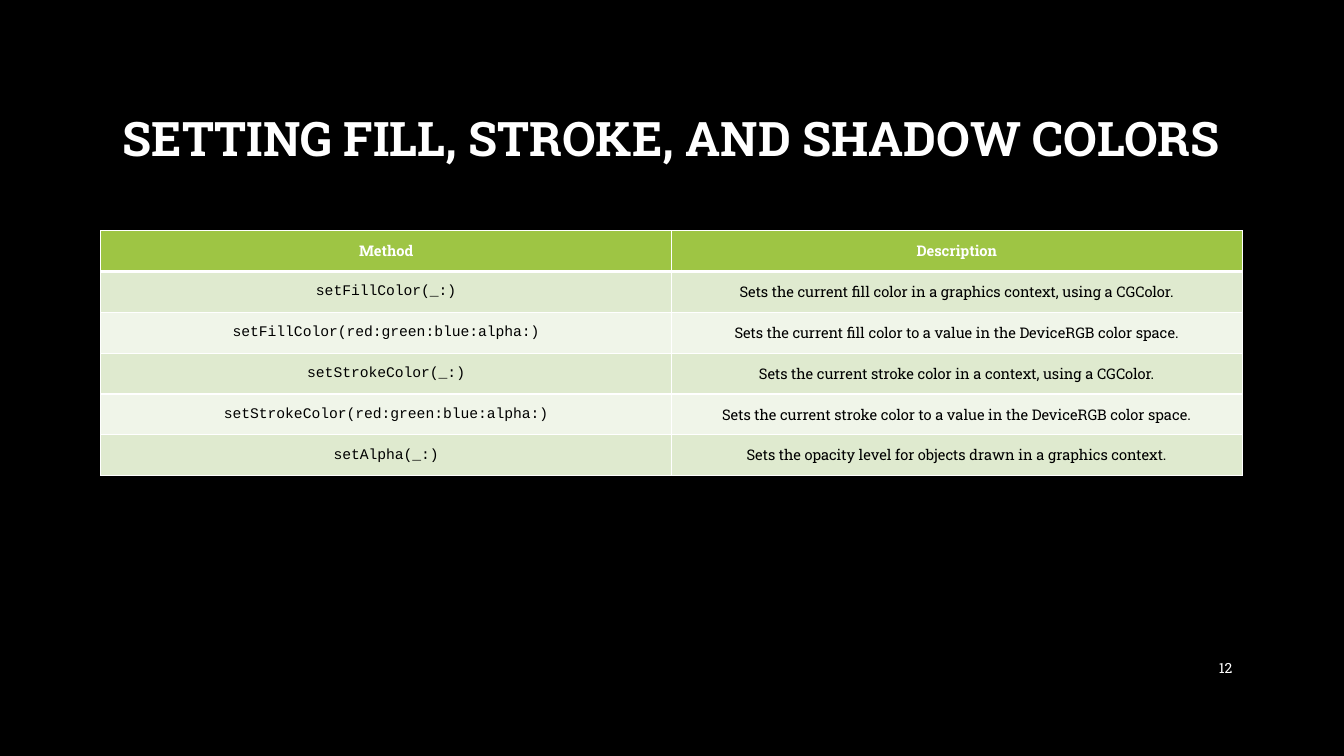
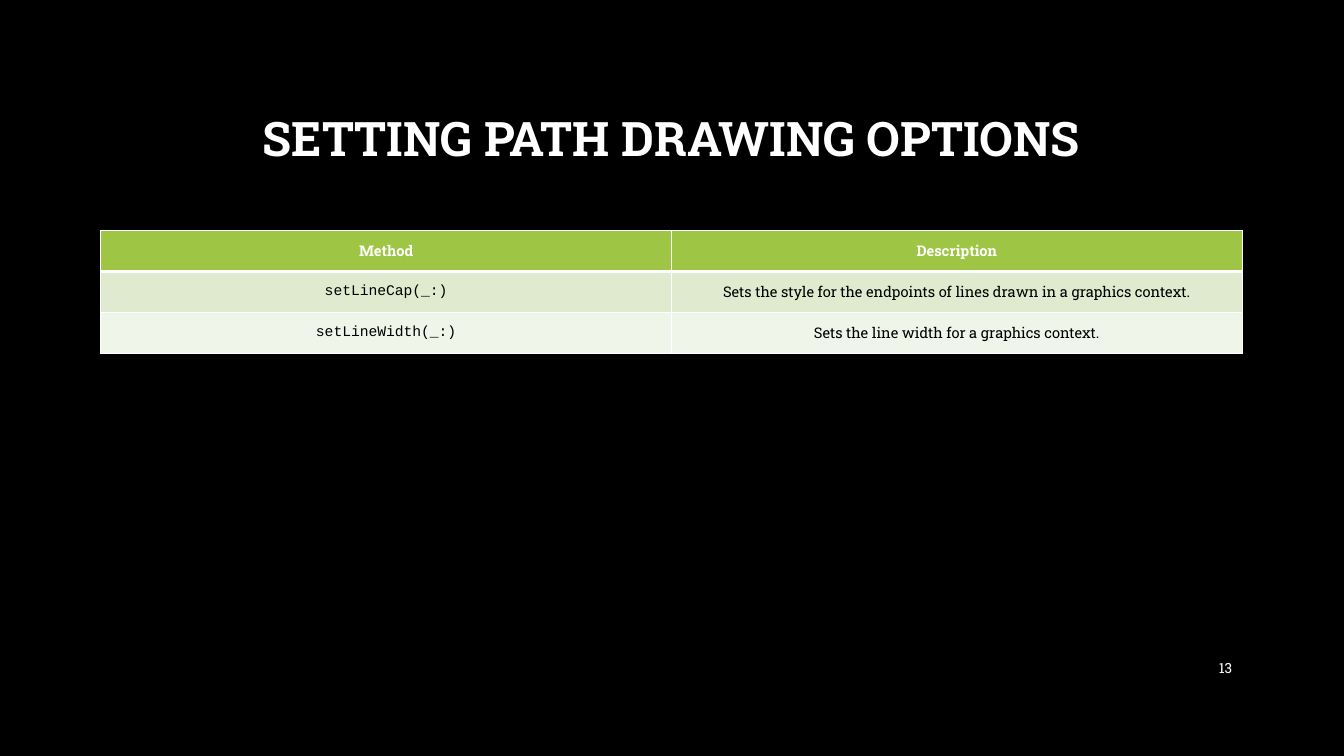
from pptx import Presentation
from pptx.dml.color import RGBColor
from pptx.enum.text import MSO_ANCHOR as Anchor, MSO_AUTO_SIZE as AutoSize, PP_ALIGN as Align
from pptx.oxml.ns import qn
from pptx.util import Inches, Pt
from lxml.etree import SubElement

# Shared look
WHITE, BLACK, GREEN = "FFFFFF", "000000", "9EC544"
BANDS = ["DFEACF", "F0F5E9"]
SLAB, MONO = "Roboto Slab", "Courier New"
LEFT, WIDTH = Inches(1), Inches(11.32)
ROW_HEIGHT = Inches(2.43) // 6
FIRST_NUMBER = 12
HEADER = ("Method", "Description")

TITLE_FORMAT = {"size": Pt(34), "name": SLAB, "bold": True, "color": WHITE}
HEADER_FORMAT = {"size": Pt(10.5), "name": SLAB, "bold": True, "color": WHITE}
METHOD_FORMAT = {"size": Pt(10.5), "name": MONO, "bold": False, "color": BLACK}
DESCRIPTION_FORMAT = METHOD_FORMAT | {"name": SLAB}
NUMBER_FORMAT = {"size": Pt(10), "name": SLAB, "bold": False, "color": WHITE}

# Titles and table rows of each slide
SLIDES = [
    ("SETTING FILL, STROKE, AND SHADOW COLORS", [
        ("setFillColor(_:)",
         "Sets the current fill color in a graphics context, using a CGColor."),
        ("setFillColor(red:green:blue:alpha:)",
         "Sets the current fill color to a value in the DeviceRGB color space."),
        ("setStrokeColor(_:)",
         "Sets the current stroke color in a context, using a CGColor."),
        ("setStrokeColor(red:green:blue:alpha:)",
         "Sets the current stroke color to a value in the DeviceRGB color space."),
        ("setAlpha(_:)",
         "Sets the opacity level for objects drawn in a graphics context."),
    ]),
    ("SETTING PATH DRAWING OPTIONS", [
        ("setLineCap(_:)",
         "Sets the style for the endpoints of lines drawn in a graphics context."),
        ("setLineWidth(_:)", "Sets the line width for a graphics context."),
    ]),
]


def write(text_frame, text, alignment, font_format):
    text_frame.text = text
    text_frame.word_wrap = True
    text_frame.vertical_anchor = Anchor.MIDDLE
    paragraph = text_frame.paragraphs[0]
    paragraph.alignment = alignment
    font = paragraph.runs[0].font
    for name, value in font_format.items():
        if name == "color":
            font.color.rgb = RGBColor.from_string(value)
        else:
            setattr(font, name, value)
    return paragraph


def add_borders(cell, widths):
    properties = cell._tc.get_or_add_tcPr()
    for side, width in widths.items():
        line = SubElement(properties, qn(f"a:ln{side}"), w=str(Pt(width)))
        SubElement(SubElement(line, qn("a:solidFill")), qn("a:srgbClr"), val=WHITE)


presentation = Presentation()
presentation.slide_width, presentation.slide_height = Inches(13.33), Inches(7.5)

# Black background for every slide
background = presentation.slide_master.background.fill
background.solid()
background.fore_color.rgb = RGBColor.from_string(BLACK)

for number, (title_text, methods) in enumerate(SLIDES, FIRST_NUMBER):
    slide = presentation.slides.add_slide(presentation.slide_layouts.get_by_name("Title Only"))

    # Title
    title = slide.shapes.title
    title.left, title.top, title.width, title.height = LEFT, Inches(0.67), WIDTH, Inches(1.45)
    write(title.text_frame, title_text, Align.CENTER, TITLE_FORMAT).line_spacing = 0.9
    title.text_frame.auto_size = AutoSize.NONE

    # Method table
    rows = [HEADER, *methods]
    table = slide.shapes.add_table(len(rows), len(HEADER), LEFT, Inches(2.29),
                                   WIDTH, ROW_HEIGHT * len(rows)).table
    for row_index, row in enumerate(rows):
        is_header = row_index == 0
        fill_color = GREEN if is_header else BANDS[(row_index - 1) % 2]
        formats = [HEADER_FORMAT] * 2 if is_header else [METHOD_FORMAT, DESCRIPTION_FORMAT]
        widths = {"L": 1, "R": 1, "T": 3 if row_index == 1 else 1, "B": 3 if is_header else 1}
        for column_index, (text, font_format) in enumerate(zip(row, formats)):
            cell = table.cell(row_index, column_index)
            add_borders(cell, widths)
            cell.fill.solid()
            cell.fill.fore_color.rgb = RGBColor.from_string(fill_color)
            write(cell.text_frame, text, Align.CENTER, font_format)
            cell.vertical_anchor = Anchor.MIDDLE

    # Slide number
    number_box = slide.shapes.add_textbox(Inches(11.5), Inches(6.43), Inches(0.82), Inches(0.4))
    write(number_box.text_frame, str(number), Align.RIGHT, NUMBER_FORMAT)

presentation.save("out.pptx")
